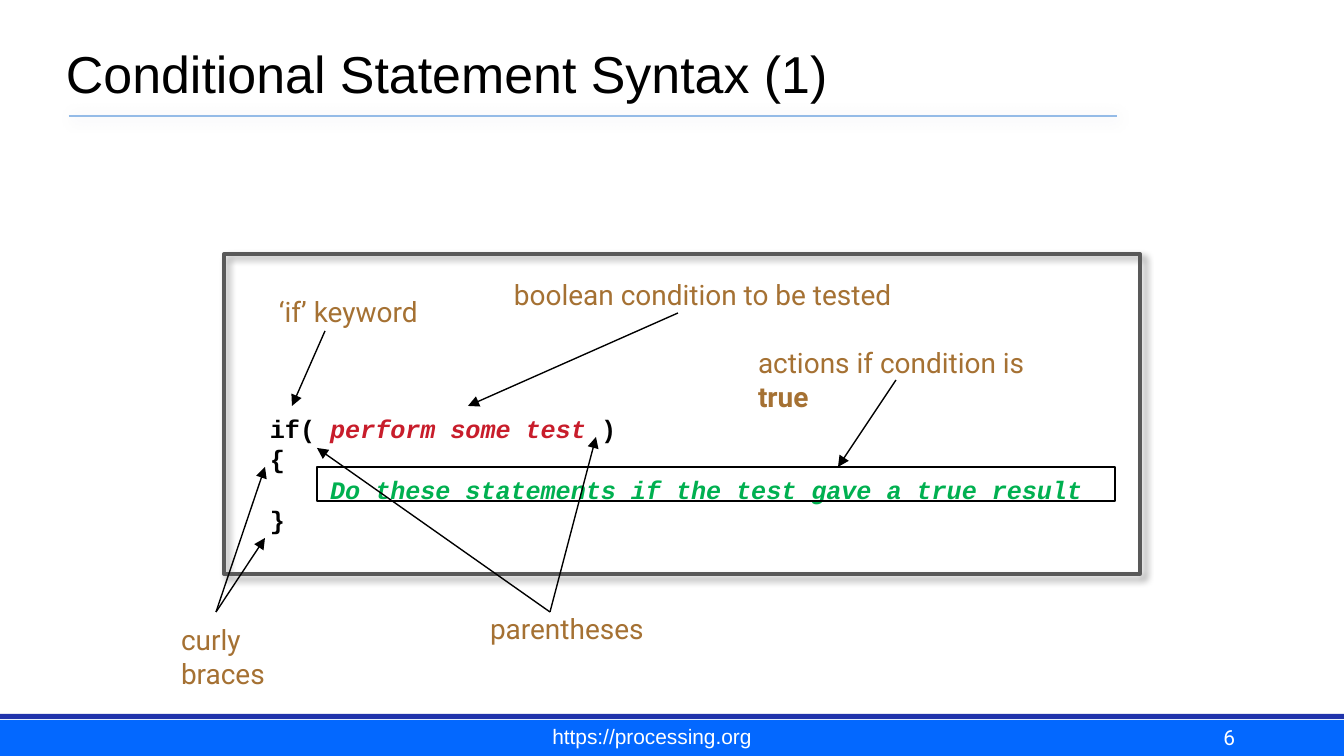
from collections import namedtuple

from lxml import etree
from pptx import Presentation
from pptx.dml.color import RGBColor
from pptx.enum.shapes import MSO_CONNECTOR as Line, MSO_SHAPE as Shape
from pptx.enum.text import MSO_ANCHOR as Anchor, PP_ALIGN as Align
from pptx.oxml.ns import qn
from pptx.util import Pt

PX = 914400 / 134.4
BLACK, WHITE, BROWN, RED, GREEN = "000000", "FFFFFF", "A57133", "C81D2B", "00B050"

Box = namedtuple("Box", "left top width height")
Span = namedtuple("Span", "text color bold italic", defaults=(BLACK, False, False))


def px(length):
    return round(length * PX)


def rgb(code):
    return RGBColor.from_string(code)


def inside(outer, left, top, width, height):
    """Box measured from the top left corner of another box."""
    return Box(outer.left + left, outer.top + top, width, height)


def set_shadow(item, color=None, blur=0, offset=0, alpha=0):
    """Give a shape or connector one outer shadow, or none without a colour."""
    properties = item._element.spPr
    for old in properties.findall(qn("a:effectLst")):
        properties.remove(old)
    effects = etree.SubElement(properties, qn("a:effectLst"))
    if color:
        shadow = etree.SubElement(effects, qn("a:outerShdw"), blurRad=str(Pt(blur)),
                                  dist=str(Pt(offset)), dir="2700000", rotWithShape="0")
        tint = etree.SubElement(shadow, qn("a:srgbClr"), val=color)
        etree.SubElement(tint, qn("a:alpha"), val=str(alpha * 1000))


def add_rect(page, box, fill=None, line=None, weight=0.75):
    rect = page.shapes.add_shape(Shape.RECTANGLE, *map(px, box))
    rect.shadow.inherit = False
    if fill:
        rect.fill.solid()
        rect.fill.fore_color.rgb = rgb(fill)
    else:
        rect.fill.background()
    if line:
        rect.line.color.rgb = rgb(line)
        rect.line.width = Pt(weight)
    else:
        rect.line.fill.background()
    return rect


def add_line(page, start, end, color=BLACK, weight=0.75, arrow=False):
    line = page.shapes.add_connector(Line.STRAIGHT, *map(px, start + end))
    line.line.color.rgb = rgb(color)
    line.line.width = Pt(weight)
    if arrow:
        etree.SubElement(line.line._get_or_add_ln(), qn("a:tailEnd"), type="triangle")
    set_shadow(line)
    return line


def add_text(page, box, lines, font, size, align=Align.LEFT, anchor=Anchor.TOP,
             insets=(13, 7), wrap=True, pitch=None):
    frame = page.shapes.add_textbox(*map(px, box)).text_frame
    frame.word_wrap = wrap
    frame.vertical_anchor = anchor
    frame.margin_left = frame.margin_right = px(insets[0])
    frame.margin_top = frame.margin_bottom = px(insets[1])
    for number, spans in enumerate(lines):
        para = frame.add_paragraph() if number else frame.paragraphs[0]
        para.alignment = align
        if pitch:
            para.line_spacing = Pt(pitch)
        for span in spans:
            run = para.add_run()
            run.text = span.text
            run.font.name = font
            run.font.size = Pt(size)
            run.font.bold = span.bold
            run.font.italic = span.italic
            run.font.color.rgb = rgb(span.color)


def add_header(page, box, title):
    add_text(page, inside(box, 0, 0, box.width, 112), [[Span(title)]],
             "Arial", 27.8, anchor=Anchor.BOTTOM, insets=(8, 8))
    rule_y = box.top + box.height
    rule = add_line(page, (box.left + 11, rule_y), (box.left + 1059, rule_y), "94BBE7", 1)
    set_shadow(rule, "003D62", 8, 1, 20)


def add_footer(page, box, address, number):
    add_rect(page, inside(box, 0, 6, box.width, box.height - 6), fill="0368FF")
    add_rect(page, inside(box, 0, 0, box.width, 5), fill="1F33AB")
    add_text(page, inside(box, 964, 2, 279, 42), [[Span(number, WHITE)]],
             "Roboto", 11.2, Align.RIGHT, Anchor.BOTTOM, (8, 8))
    add_text(page, inside(box, 473, 5, 358, 35), [[Span(address, WHITE)]],
             "Arial", 11.2, Align.CENTER, Anchor.BOTTOM, (11, 5))


def add_callout(page, panel, place, spans, arrows):
    """Brown note with arrows, all placed from the panel's corner."""
    add_text(page, inside(panel, *place), [spans], "Roboto", 15)
    for start, end in arrows:
        add_line(page, (panel.left + start[0], panel.top + start[1]),
                 (panel.left + end[0], panel.top + end[1]), arrow=True)


def add_syntax_panel(page, panel):
    code = [
        [Span("if( ", BLACK, True), Span("perform some test ", RED, True, True),
         Span(")", BLACK, True)],
        [Span("{", BLACK, True)],
        [Span("    ", BLACK, True),
         Span("Do these statements if the test gave a true result", GREEN, True, True)],
        [Span("}", BLACK, True)],
    ]
    add_text(page, inside(panel, 33, 152, 855, 136), code, "Courier New", 13.5,
             wrap=False, pitch=16.3)
    add_rect(page, inside(panel, 93, 213, 798, 34), line=BLACK)
    frame = add_rect(page, panel, line="595959", weight=2)
    set_shadow(frame, BLACK, 4, 3, 40)

    parentheses, braces = (326, 358), (-8, 358)
    callouts = [
        ((42, 34, 176, 47), [Span("‘if’ keyword", BROWN)], [((101, 77), (68, 152))]),
        ((253, 351, 419, 47), [Span("parentheses", BROWN)],
         [(parentheses, (372, 183)), (parentheses, (93, 194))]),
        ((-56, 362, 164, 82), [Span("curly braces", BROWN)],
         [(braces, (41, 213)), (braces, (41, 284))]),
        ((277, 17, 419, 47), [Span("boolean condition to be tested", BROWN)],
         [((454, 59), (244, 152))]),
        ((521, 85, 335, 81),
         [Span("actions if condition is ", BROWN), Span("true", BROWN, True)],
         [((672, 126), (614, 213))]),
    ]
    for place, spans, arrows in callouts:
        add_callout(page, panel, place, spans, arrows)


def main():
    deck = Presentation()
    deck.slide_width, deck.slide_height = px(1344), px(756)
    page = deck.slides.add_slide(deck.slide_layouts[6])
    add_footer(page, Box(0, 714, 1344, 42), "https://processing.org", "6")
    add_header(page, Box(58, 0, 1142, 116), "Conditional Statement Syntax (1)")
    add_syntax_panel(page, Box(224, 254, 916, 320))
    deck.save("out.pptx")


if __name__ == "__main__":
    main()
